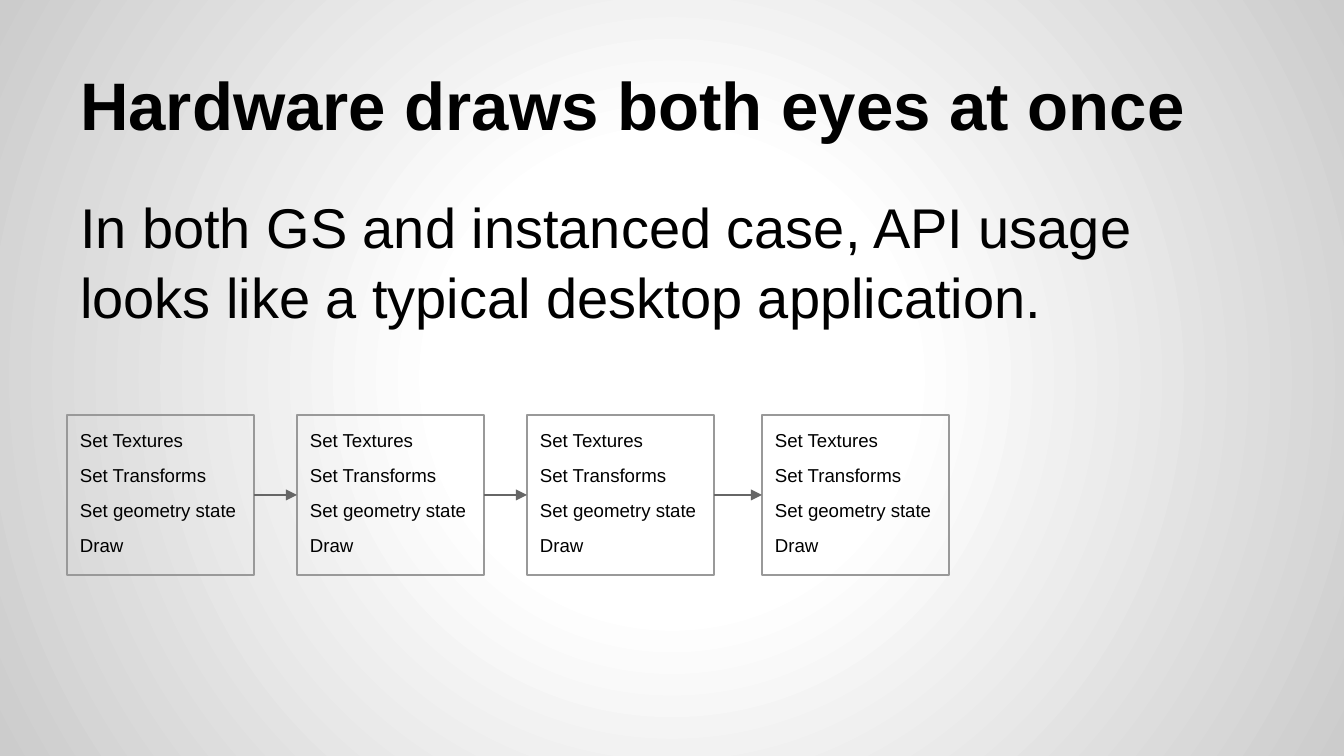
from pptx import Presentation
from pptx.dml.color import RGBColor as RGB
from pptx.enum.shapes import MSO_CONNECTOR as Line, MSO_SHAPE as Kind
from pptx.enum.text import MSO_ANCHOR as Anchor, MSO_AUTO_SIZE as Fit, PP_ALIGN as Align
from pptx.oxml import parse_xml
from pptx.oxml.ns import nsdecls
from pptx.oxml.xmlchemy import OxmlElement as Tag
from pptx.util import Emu, Pt

# Content
TITLE = "Hardware draws both eyes at once"
BODY = "In both GS and instanced case, API usage looks like a typical desktop application."
STEPS = ["Set Textures", "Set Transforms", "Set geometry state", "Draw"]

# Layout in px
SCALE = 914400 / 134.4
SIZE = (1344, 756)
HEAD = (67, 31, 1210, 126)
MAIN = (67, 176, 1210, 547)
LEFTS = [67, 297, 527, 762]
TOP, WIDE, HIGH = 415, 187, 160
INSET = 13

COLORS = {"text": "000000", "box": "999999", "arrow": "666666",
          "mid": "FFFFFF", "edge": "CCCCCC"}
STOPS = [(0, "mid"), (30, "mid"), (100, "edge")]
FONTS = {
    "title": {"name": "Arial", "size": Pt(36), "bold": True},
    "body": {"name": "Arial", "size": Pt(30), "bold": False},
    "step": {"name": "Arial", "size": Pt(10), "bold": False},
}


def px(n):
    return Emu(round(n * SCALE))


def color(key):
    return RGB.from_string(COLORS[key])


def apply(item, values):
    for key, val in values.items():
        setattr(item, key, val)


def place(shape, area):
    apply(shape, dict(zip(("left", "top", "width", "height"), map(px, area))))


def write(shape, lines, style, anchor=Anchor.TOP, before=0):
    frame = shape.text_frame
    frame.text = "\n".join(lines)
    sides = ("left", "right", "top", "bottom")
    apply(frame, {f"margin_{side}": px(INSET) for side in sides})
    apply(frame, {"word_wrap": True, "auto_size": Fit.NONE, "vertical_anchor": anchor})
    for para in frame.paragraphs:
        apply(para, {"alignment": Align.LEFT, "space_before": Pt(before),
                     "space_after": Pt(0), "line_spacing": 1.05})
        for run in para.runs:
            apply(run.font, FONTS[style])
            run.font.color.rgb = color("text")


def stroke(shape, key, width):
    shape.line.color.rgb = color(key)
    shape.line.width = Pt(width)


deck = Presentation()
deck.slide_width, deck.slide_height = map(px, SIZE)
slide = deck.slides.add_slide(deck.slide_layouts[1])

# Radial background
stops = "".join(f'<a:gs pos="{pos * 1000}"><a:srgbClr val="{COLORS[key]}"/></a:gs>'
                for pos, key in STOPS)
slide.element.cSld.insert(0, parse_xml(
    f'<p:bg {nsdecls("p", "a")}><p:bgPr><a:gradFill><a:gsLst>{stops}</a:gsLst>'
    '<a:path path="circle"><a:fillToRect l="50000" t="50000" r="50000" b="50000"/>'
    '</a:path></a:gradFill><a:effectLst/></p:bgPr></p:bg>'))

# Title and body
title, body = slide.placeholders
place(title, HEAD)
write(title, [TITLE], "title", Anchor.BOTTOM)
place(body, MAIN)
write(body, [BODY], "body")
for para in body.text_frame.paragraphs:
    props = para._p.get_or_add_pPr()
    props.set("marL", "0")
    props.set("indent", "0")
    props.append(Tag("a:buNone"))

# Step boxes
boxes = []
for left in LEFTS:
    box = slide.shapes.add_shape(Kind.RECTANGLE, *map(px, (left, TOP, WIDE, HIGH)))
    box.shadow.inherit = False
    box.fill.background()
    stroke(box, "box", 0.75)
    write(box, STEPS, "step", before=6)
    boxes.append(box)

# Arrows between neighbours
for start, end in zip(boxes, boxes[1:]):
    arrow = slide.shapes.add_connector(Line.STRAIGHT, 0, 0, 0, 0)
    arrow.begin_connect(start, 3)
    arrow.end_connect(end, 1)
    stroke(arrow, "arrow", 1.5)
    tip = Tag("a:tailEnd")
    tip.set("type", "triangle")
    arrow.line._get_or_add_ln().append(tip)
    arrow._element.spPr.append(Tag("a:effectLst"))

deck.save("out.pptx")
